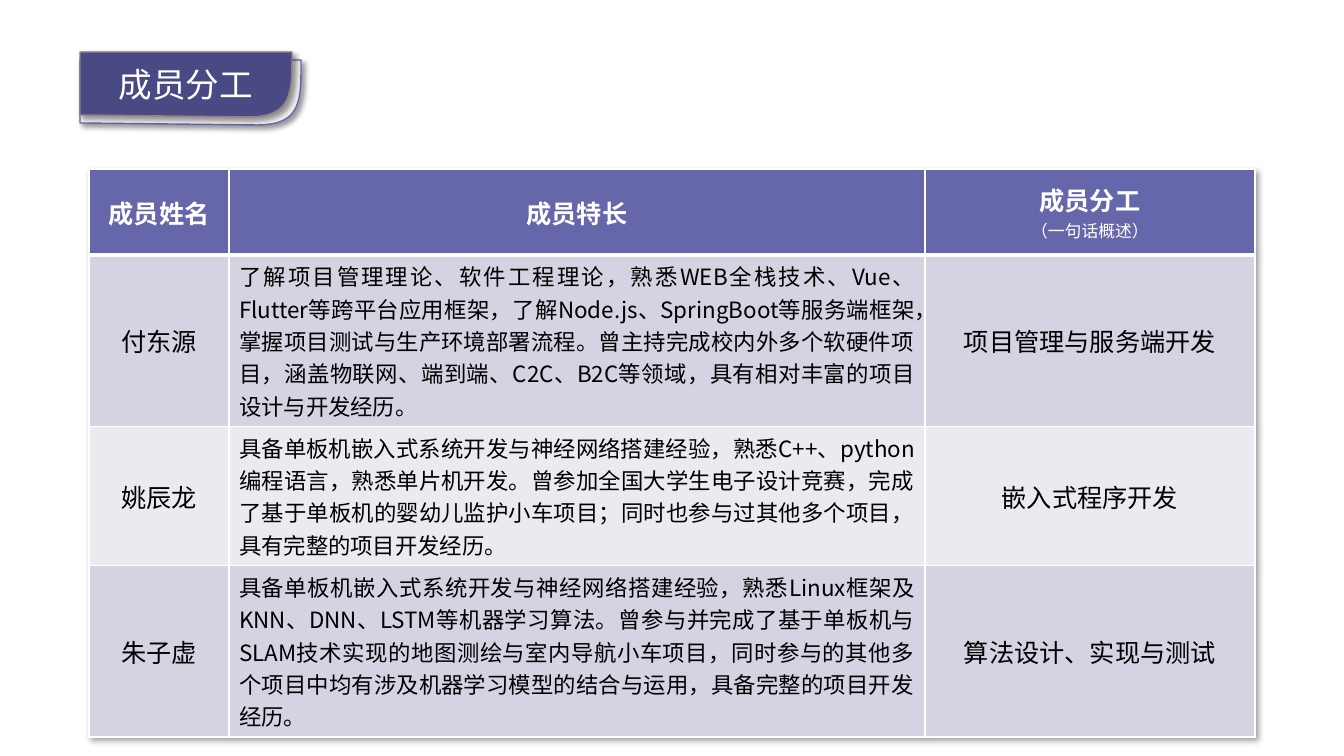
from lxml.etree import SubElement
from pptx import Presentation
from pptx.dml.color import RGBColor as RGB
from pptx.enum.text import MSO_ANCHOR as ANCHOR, PP_ALIGN as ALIGN
from pptx.oxml import parse_xml
from pptx.oxml.ns import nsdecls, qn
from pptx.util import Emu, Pt

SCALE = 914400 / 100.8
SANS, LATIN = "Noto Sans CJK SC", "Cabin"
COLORS = {
    "white": "FFFFFF", "black": "000000", "violet": "6667AB",
    "deep": "494984", "brown": "928082", "pale": "F2F2F2",
    "band_dark": "D3D3E2", "band_light": "EAEBF1",
}
HEADER = ["成员姓名", "成员特长", "成员分工\n（一句话概述）"]
MEMBERS = [
    ["付东源",
     "了解项目管理理论、软件工程理论，熟悉WEB全栈技术、Vue、Flutter等跨平台应用框架，"
     "了解Node.js、SpringBoot等服务端框架，掌握项目测试与生产环境部署流程。"
     "曾主持完成校内外多个软硬件项目，涵盖物联网、端到端、C2C、B2C等领域，"
     "具有相对丰富的项目设计与开发经历。",
     "项目管理与服务端开发"],
    ["姚辰龙",
     "具备单板机嵌入式系统开发与神经网络搭建经验，熟悉C++、python编程语言，熟悉单片机开发。"
     "曾参加全国大学生电子设计竞赛，完成了基于单板机的婴幼儿监护小车项目；"
     "同时也参与过其他多个项目，具有完整的项目开发经历。",
     "嵌入式程序开发"],
    ["朱子虚",
     "具备单板机嵌入式系统开发与神经网络搭建经验，熟悉Linux框架及KNN、DNN、LSTM等机器学习算法。"
     "曾参与并完成了基于单板机与SLAM技术实现的地图测绘与室内导航小车项目，"
     "同时参与的其他多个项目中均有涉及机器学习模型的结合与运用，具备完整的项目开发经历。",
     "算法设计、实现与测试"],
]


def px(n):
    return Emu(round(n * SCALE))


def color(name):
    return RGB.from_string(COLORS[name])


def shadow():
    return parse_xml(
        f'<a:effectLst {nsdecls("a")}><a:outerShdw blurRad="{Pt(4)}" dist="{Pt(3)}" '
        f'dir="2700000" algn="tl" rotWithShape="0"><a:srgbClr val="{COLORS["black"]}">'
        '<a:alpha val="40000"/></a:srgbClr></a:outerShdw></a:effectLst>')


def add_run(p, text, face, color_name, **fmt):
    r = p.add_run()
    r.text = text
    for key, value in {"name": face, **fmt}.items():
        setattr(r.font, key, value)
    r.font.color.rgb = color(color_name)
    SubElement(r.font._element, qn("a:ea")).set("typeface", SANS)


def add_tab(shapes, x, y, w, fill, line):
    curve = [(w, 40), (w + 1, 65), (w - 44, 65)]
    builder = shapes.build_freeform(0, 0, scale=SCALE)
    builder.add_line_segments([(w, 0), curve[-1], (0, 63)])
    sp = builder.convert_to_shape(px(x), px(y))
    edge = sp._element.findall(".//" + qn("a:lnTo"))[1]
    bezier = parse_xml(f'<a:cubicBezTo {nsdecls("a")}/>')
    for cx, cy in curve:
        SubElement(bezier, qn("a:pt"), x=str(cx), y=str(cy))
    edge.getparent().replace(edge, bezier)
    sp.fill.solid()
    sp.fill.fore_color.rgb = color(fill)
    sp.line.color.rgb = color(line)
    sp.line.width = Pt(1)
    sp._element.spPr.append(shadow())
    return sp


def add_title(slide, x, y, text):
    shapes = slide.shapes.add_group_shape().shapes
    add_tab(shapes, x, y + 8, 221, "pale", "violet")
    sp = add_tab(shapes, x, y, 212, "deep", "brown")
    tf = sp.text_frame
    tf.vertical_anchor = ANCHOR.MIDDLE
    p = tf.paragraphs[0]
    p.alignment = ALIGN.CENTER
    add_run(p, text, SANS, "white", size=Pt(24))


def set_borders(cell, top, bottom):
    tcPr = cell._tc.get_or_add_tcPr()
    for i, (side, width) in enumerate(zip("LRTB", (1, 1, top, bottom))):
        tcPr.insert(i, parse_xml(
            f'<a:ln{side} {nsdecls("a")} w="{Pt(width)}"><a:solidFill>'
            f'<a:srgbClr val="{COLORS["white"]}"/></a:solidFill></a:ln{side}>'))


def fill_cell(cell, row, col, text):
    header = row == 0
    skill = col == 1 and not header
    cell.fill.solid()
    band = "band_dark" if row % 2 else "band_light"
    cell.fill.fore_color.rgb = color("violet" if header else band)
    set_borders(cell, 3 if row == 1 else 1, 3 if header else 1)
    cell.vertical_anchor = ANCHOR.MIDDLE
    tf = cell.text_frame
    for i, line in enumerate(text.split("\n")):
        p = tf.add_paragraph() if i else tf.paragraphs[0]
        p.alignment = ALIGN.JUSTIFY if skill else ALIGN.CENTER
        size = 12 if i else 16 if skill else 18
        face = SANS if i or not header else LATIN
        add_run(p, line, face, "white" if header else "black",
                size=Pt(size), bold=header and not i)


def add_member_table(slide, x, y, widths, heights):
    rows = [HEADER, *MEMBERS]
    frame = slide.shapes.add_table(len(rows), len(widths), px(x), px(y),
                                   px(sum(widths)), px(sum(heights)))
    table = frame.table
    for column, width in zip(table.columns, widths):
        column.width = px(width)
    for row, height in zip(table.rows, heights):
        row.height = px(height)
    table._tbl.tblPr.insert(0, shadow())
    for r, texts in enumerate(rows):
        for c, text in enumerate(texts):
            fill_cell(table.cell(r, c), r, c, text)


def main():
    prs = Presentation()
    prs.slide_width, prs.slide_height = px(1344), px(756)
    slide = prs.slides.add_slide(prs.slide_layouts[6])
    add_title(slide, 80, 52, "成员分工")
    add_member_table(slide, 89, 169, [140, 696, 330], [86, 121, 121, 121])
    prs.save("out.pptx")


if __name__ == "__main__":
    main()
